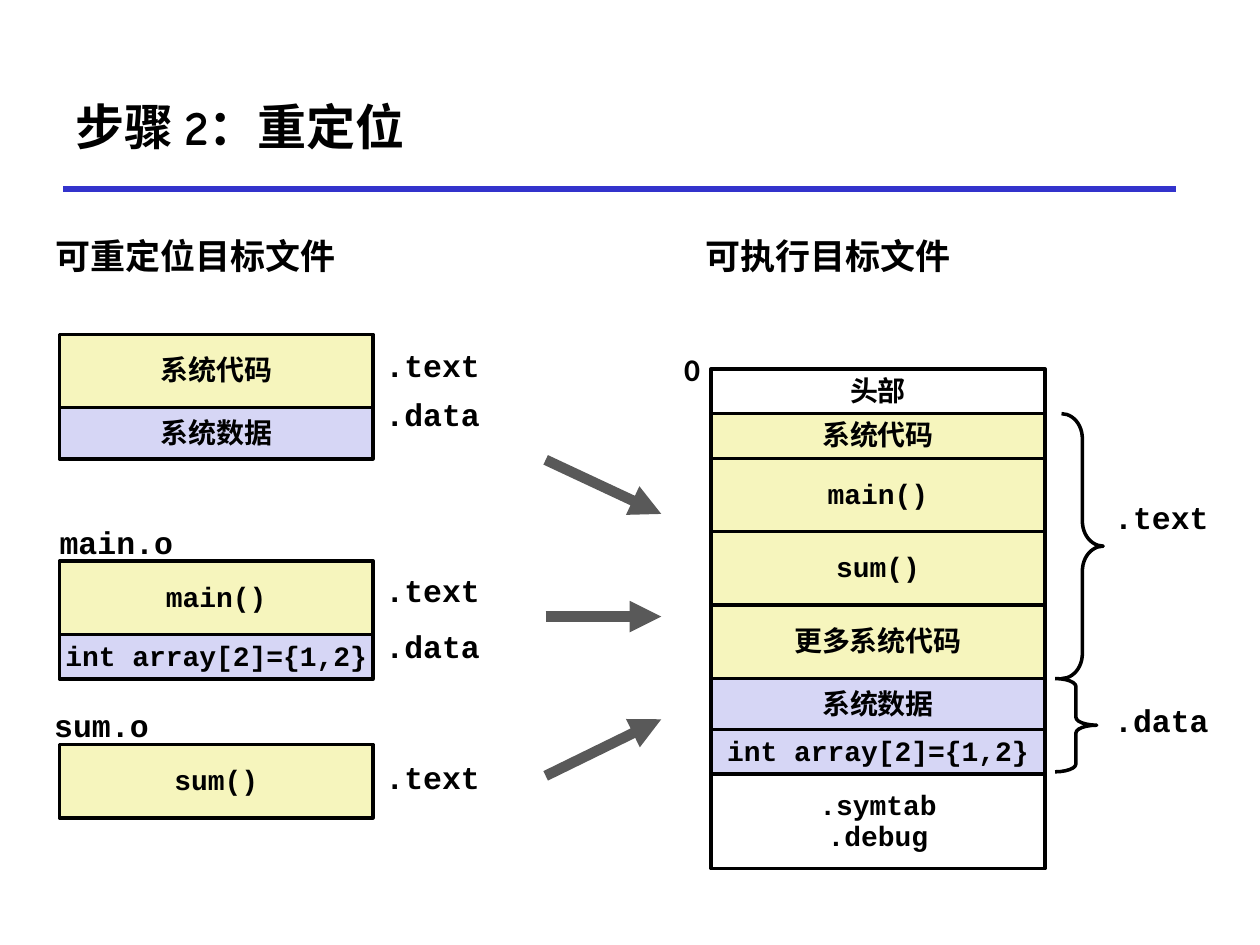
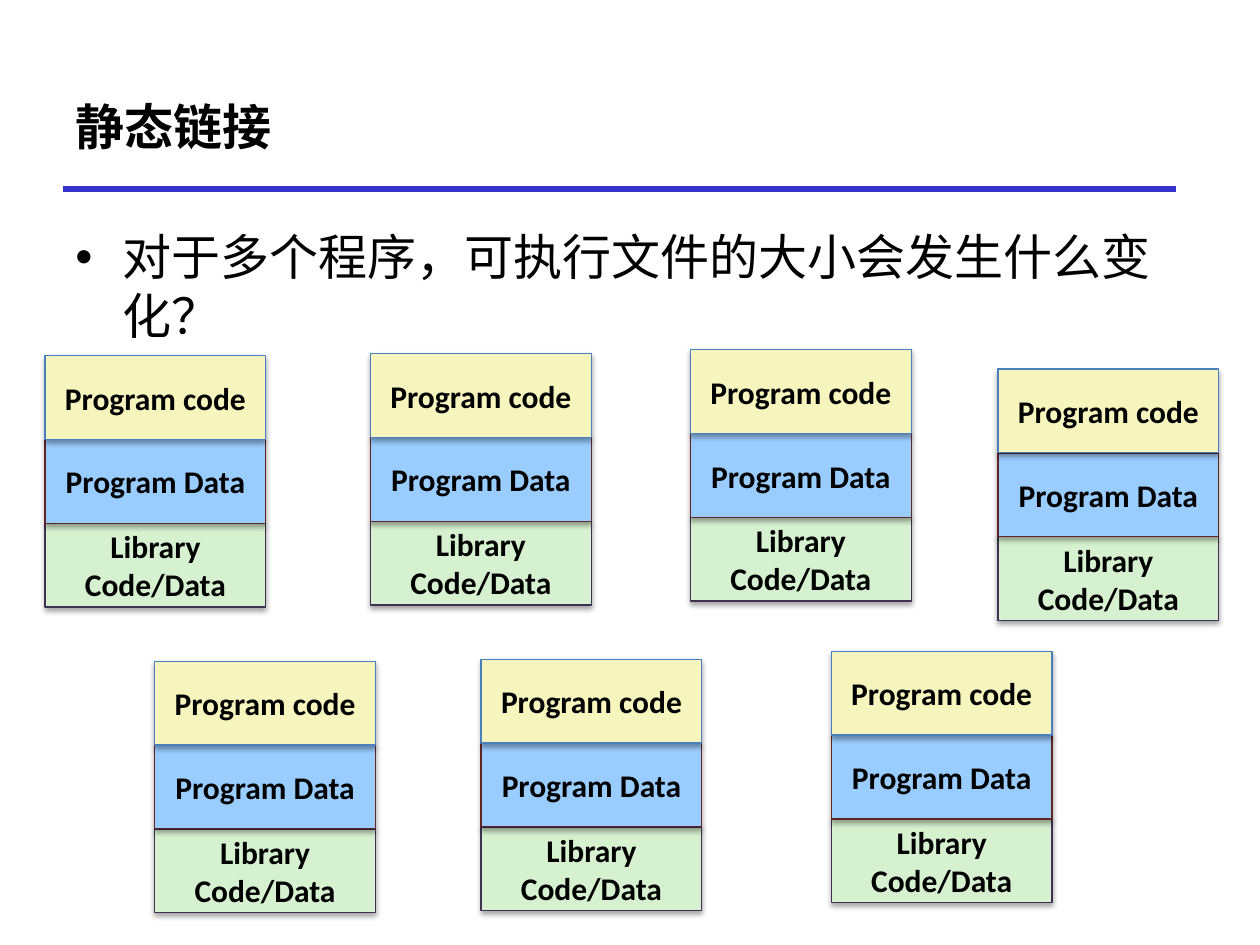
from lxml import etree
from pptx import Presentation
from pptx.dml.color import RGBColor
from pptx.enum import shapes, text as txt
from pptx.oxml import ns, parse_xml
from pptx.util import Cm, Pt

BLACK = RGBColor(0x00, 0x00, 0x00)
WHITE = RGBColor(0xFF, 0xFF, 0xFF)
RULE_BLUE = RGBColor(0x33, 0x33, 0xCC)
ARROW_GREY = RGBColor(0x59, 0x59, 0x59)
CODE_YELLOW = RGBColor(0xF6, 0xF5, 0xBD)
DATA_LILAC = RGBColor(0xD6, 0xD6, 0xF5)
DATA_BLUE = RGBColor(0x99, 0xCC, 0xFF)
LIBRARY_GREEN = RGBColor(0xD5, 0xF1, 0xCF)
CODE_EDGE = RGBColor(0x4B, 0x7E, 0xBC)
DATA_EDGE = RGBColor(0x63, 0x25, 0x23)
LIBRARY_EDGE = RGBColor(0x40, 0x31, 0x52)

TITLE_FONT, SANS, MONO = "Comic Neue", "Calibri", "Courier New"
LINE_SPACING = {SANS: 0.98, MONO: 0.94}
CENTER, LEFT = txt.PP_ALIGN.CENTER, txt.PP_ALIGN.LEFT
MIDDLE, TOP = txt.MSO_ANCHOR.MIDDLE, txt.MSO_ANCHOR.TOP

# Row heights of the memory diagrams, in cm
THIN, MEDIUM, TALL, TABLES = 0.9, 1.03, 1.48, 1.9
LABEL_HEIGHT = 0.99

SHADOW = (f'<a:effectLst {ns.nsdecls("a")}><a:outerShdw blurRad="{Pt(3.1)}" '
          f'dist="{Pt(1.8)}" dir="5400000" rotWithShape="0"><a:srgbClr val="000000">'
          '<a:alpha val="35000"/></a:srgbClr></a:outerShdw></a:effectLst>')


def write(shape, content, *, size, font, bold=True, align=LEFT, anchor=TOP,
          wrap=False, spacing=None, bullet=None, indent=0):
    frame = shape.text_frame
    frame.word_wrap = wrap
    frame.vertical_anchor = anchor
    frame.text = content
    for paragraph in frame.paragraphs:
        paragraph.alignment = align
        if spacing:
            paragraph.line_spacing = spacing
        if bullet:
            props = paragraph._p.get_or_add_pPr()
            props.set("marL", str(Cm(indent)))
            props.set("indent", str(-Cm(indent)))
            etree.SubElement(props, ns.qn("a:buFont"), typeface="Arial")
            etree.SubElement(props, ns.qn("a:buChar"), char=bullet)
        for run in paragraph.runs:
            run.font.size = Pt(size)
            run.font.name = font
            run.font.bold = bold
            run.font.color.rgb = BLACK


def add_label(slide, left, top, width, content, *, font=MONO, size=18, align=LEFT):
    box = slide.shapes.add_textbox(Cm(left), Cm(top), Cm(width), Cm(LABEL_HEIGHT))
    write(box, content, size=size, font=font, align=align, spacing=LINE_SPACING[font])


def add_code_label(slide, left, top, content, align=LEFT):
    """A monospaced label whose box fits its characters."""
    add_label(slide, left, top, 0.51 + 0.38 * len(content), content, align=align)


def add_block(slide, left, top, width, height, fill, edge, weight):
    block = slide.shapes.add_shape(shapes.MSO_SHAPE.RECTANGLE,
                                   Cm(left), Cm(top), Cm(width), Cm(height))
    block.shadow.inherit = False
    block.fill.solid()
    block.fill.fore_color.rgb = fill
    block.line.color.rgb = edge
    block.line.width = Pt(weight)
    return block


def add_line(slide, start, end, color, weight, arrow=False):
    line = slide.shapes.add_connector(shapes.MSO_CONNECTOR.STRAIGHT,
                                      *(Cm(v) for v in (*start, *end)))
    line.line.color.rgb = color
    line.line.width = Pt(weight)
    if arrow:
        etree.SubElement(line.line._get_or_add_ln(), ns.qn("a:tailEnd"), type="triangle")
    etree.SubElement(line._element.spPr, ns.qn("a:effectLst"))


def add_titled_slide(deck, title):
    slide = deck.slides.add_slide(deck.slide_layouts[5])
    heading = slide.shapes.title
    heading.left, heading.top = Cm(1.27), Cm(1.27)
    heading.width, heading.height = Cm(22.43), Cm(2.54)
    write(heading, title, size=28, font=TITLE_FONT, anchor=MIDDLE, wrap=True)
    add_line(slide, (1.27, 3.81), (23.7, 3.81), RULE_BLUE, 3)
    return slide


def add_memory(slide, left, top, width, rows):
    """Stack rows of (text, height, fill, font) downwards."""
    for content, height, fill, font in rows:
        block = add_block(slide, left, top, width, height, fill, BLACK, 2)
        write(block, content, size=16, font=font, align=CENTER, anchor=MIDDLE,
              spacing=LINE_SPACING[font])
        top += height


def add_object_file(slide, left, top, width, rows, sections, name=None, name_shift=0):
    """An object file, its section labels on the right, its name above."""
    add_memory(slide, left, top, width, rows)
    for section, offset in sections:
        add_code_label(slide, left + width, top + offset, section)
    if name:
        add_code_label(slide, left + name_shift, top - 0.83, name, CENTER)


def add_section_brace(slide, left, top, height, bend, section, label_left, label_top):
    brace = slide.shapes.add_shape(shapes.MSO_SHAPE.RIGHT_BRACE,
                                   Cm(left), Cm(top), Cm(0.84), Cm(height))
    brace.shadow.inherit = False
    brace.fill.background()
    brace.line.color.rgb = BLACK
    brace.line.width = Pt(2)
    brace.adjustments[0] = bend
    add_code_label(slide, label_left, label_top, section)


def add_executable(slide, left, top, width):
    add_label(slide, left - 0.79, top - 0.48, 0.86, "0", font=SANS)
    add_memory(slide, left, top, width, [
        ("头部", THIN, WHITE, SANS),
        ("系统代码", THIN, CODE_YELLOW, SANS),
        MAIN_CODE,
        SUM_CODE,
        ("更多系统代码", TALL, CODE_YELLOW, SANS),
        SYSTEM_DATA,
        ARRAY_DATA,
        (".symtab\n.debug", TABLES, WHITE, MONO),
    ])
    # Braces span the code rows and the data rows
    right = left + width
    code_top = top + THIN
    code_height = THIN + 3 * TALL
    add_section_brace(slide, right + 0.33, code_top, code_height, 0.6,
                      ".text", right + 1.14, top + 2.54)
    add_section_brace(slide, right + 0.2, code_top + code_height, MEDIUM + THIN - 0.05,
                      0.19, ".data", right + 1.14, top + 6.63)


MAIN_CODE = ("main()", TALL, CODE_YELLOW, MONO)
SUM_CODE = ("sum()", TALL, CODE_YELLOW, MONO)
SYSTEM_DATA = ("系统数据", MEDIUM, DATA_LILAC, SANS)
ARRAY_DATA = ("int array[2]={1,2}", THIN, DATA_LILAC, MONO)


def build_relocation(deck):
    slide = add_titled_slide(deck, "步骤 2：重定位")
    add_label(slide, 0.86, 4.65, 6.2, "可重定位目标文件", font=SANS, size=20)
    add_label(slide, 13.97, 4.65, 5.49, "可执行目标文件", font=SANS, size=20)

    # Relocatable object files
    left, width = 1.2, 6.32
    add_object_file(slide, left, 6.74, width,
                    [("系统代码", TALL, CODE_YELLOW, SANS), SYSTEM_DATA],
                    [(".text", 0.18), (".data", 1.17)])
    add_object_file(slide, left, 11.31, width, [MAIN_CODE, ARRAY_DATA],
                    [(".text", 0.13), (".data", 1.27)], "main.o", -0.25)
    add_object_file(slide, left, 15.01, width, [SUM_CODE],
                    [(".text", 0.2)], "sum.o", -0.36)

    # Arrows from the object files to the executable
    for start, end in ((9.27, 10.36), (12.43, 12.43), (15.64, 14.5)):
        add_line(slide, (11.0, start), (13.33, end), ARROW_GREY, 6, arrow=True)

    add_executable(slide, 14.33, 7.44, 6.74)


def add_program(slide, left, top):
    """One statically linked program; upper parts overlap lower ones."""
    width, height = 4.45, 1.69
    parts = [("Program code", CODE_YELLOW, CODE_EDGE),
             ("Program Data", DATA_BLUE, DATA_EDGE),
             ("Library Code/Data", LIBRARY_GREEN, LIBRARY_EDGE)]
    for row, (content, fill, edge) in reversed(list(enumerate(parts))):
        block = add_block(slide, left, top + row * height, width, height, fill, edge, 0.75)
        props = block._element.spPr
        props.replace(props.find(ns.qn("a:effectLst")), parse_xml(SHADOW))
        write(block, content, size=18, font=SANS, align=CENTER, anchor=MIDDLE, wrap=True)


def build_static_linking(deck):
    slide = add_titled_slide(deck, "静态链接")
    question = slide.shapes.add_textbox(Cm(1.27), Cm(4.45), Cm(23.06), Cm(12.27))
    write(question, "对于多个程序，可执行文件的大小会发生什么变化？", size=28,
          font=TITLE_FONT, bold=False, wrap=True, bullet="•", indent=0.95)

    # Seven programs, each with its own copy of the library
    for left, top in ((20.12, 7.44), (13.92, 7.05), (0.91, 7.17), (3.12, 13.33),
                      (7.47, 7.13), (9.7, 13.29), (16.76, 13.13)):
        add_program(slide, left, top)


def main():
    deck = Presentation()
    deck.slide_width, deck.slide_height = Cm(25.4), Cm(19.05)
    build_relocation(deck)
    build_static_linking(deck)
    deck.save("out.pptx")


if __name__ == "__main__":
    main()
